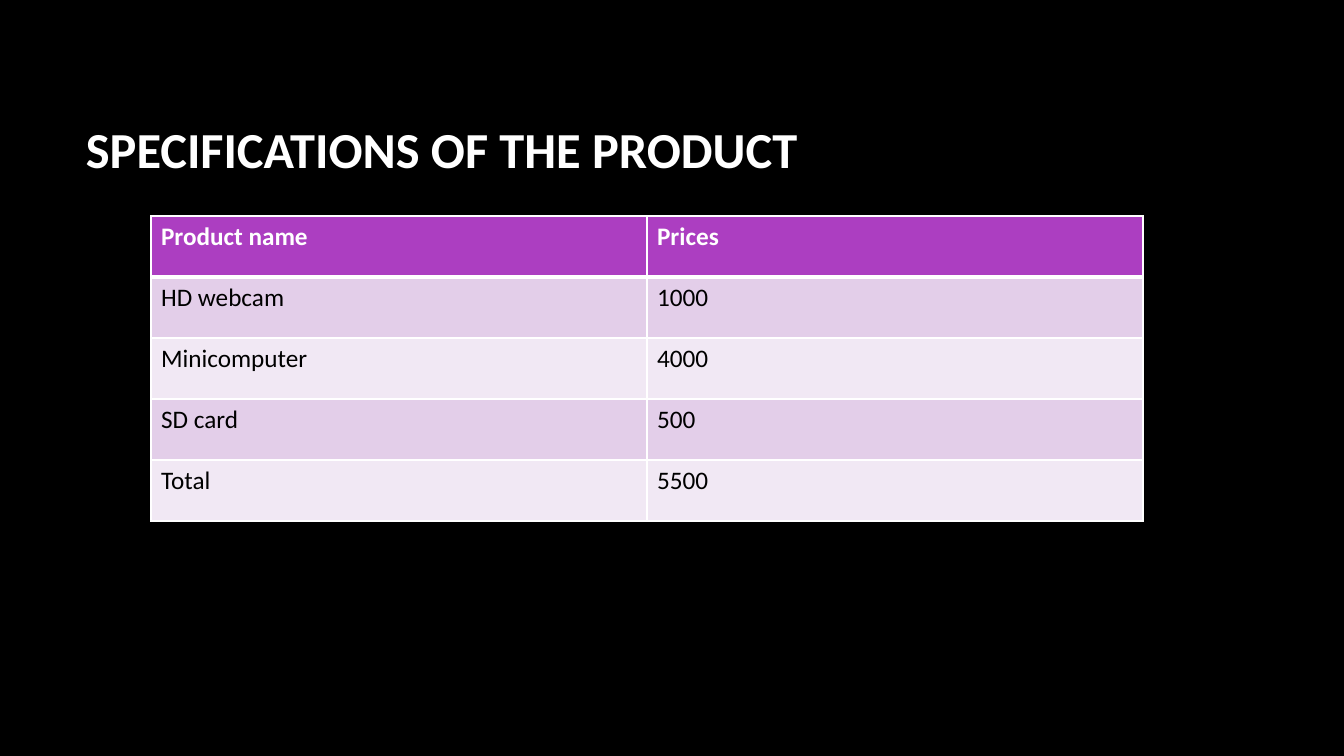
from dataclasses import dataclass

from lxml import etree
from pptx import Presentation
from pptx.dml.color import RGBColor
from pptx.enum.text import MSO_ANCHOR
from pptx.oxml.ns import qn
from pptx.util import Emu, Pt

TITLE = "SPECIFICATIONS OF THE PRODUCT"
ROWS = [
    ("Product name", "Prices"),
    ("HD webcam", "1000"),
    ("Minicomputer", "4000"),
    ("SD card", "500"),
    ("Total", "5500"),
]

SIZE = (1344, 756)
TITLE_BOX = (76, 68, 1117, 160)
TABLE_AT = (151, 216)
COL_W, ROW_H = 496, 61

MIDDLE = MSO_ANCHOR.MIDDLE


@dataclass(frozen=True)
class Theme:
    font: str = "Calibri"
    back: str = "000000"
    light: str = "FFFFFF"
    dark: str = "000000"
    head: str = "AC3EC1"
    bands: tuple = ("E3CEE9", "F1E8F4")
    title_pt: int = 36
    cell_pt: int = 18
    rule_pt: int = 1
    head_pt: int = 3


THEME = Theme()


def px(n):
    return Emu(round(n * 914400 / 100.8))


def paint(fill, color):
    fill.solid()
    fill.fore_color.rgb = RGBColor.from_string(color)


def add_run(frame, text, size, color, bold):
    run = frame.paragraphs[0].add_run()
    run.text = text
    font = run.font
    font.name, font.size, font.bold = THEME.font, Pt(size), bold
    font.color.rgb = RGBColor.from_string(color)


def add_rules(cell, top, bottom):
    """Set the four borders; they must come before the cell's fill."""
    props = cell._tc.get_or_add_tcPr()
    widths = {"L": THEME.rule_pt, "R": THEME.rule_pt, "T": top, "B": bottom}
    for side, width in widths.items():
        line = etree.SubElement(props, qn(f"a:ln{side}"), w=str(Pt(width)))
        solid = etree.SubElement(line, qn("a:solidFill"))
        etree.SubElement(solid, qn("a:srgbClr"), val=THEME.light)


def add_title(slide):
    frame = slide.shapes.add_textbox(*map(px, TITLE_BOX)).text_frame
    frame.word_wrap = True
    frame.vertical_anchor = MIDDLE
    add_run(frame, TITLE, THEME.title_pt, THEME.light, True)


def add_prices(slide):
    count, wide = len(ROWS), len(ROWS[0])
    box = (*TABLE_AT, wide * COL_W, count * ROW_H)
    table = slide.shapes.add_table(count, wide, *map(px, box)).table
    for col in table.columns:
        col.width = px(COL_W)
    for r, row in enumerate(ROWS):
        table.rows[r].height = px(ROW_H)
        is_head = r == 0
        fill = THEME.head if is_head else THEME.bands[(r - 1) % 2]
        ink = THEME.light if is_head else THEME.dark
        top = THEME.head_pt if r == 1 else THEME.rule_pt
        bottom = THEME.head_pt if is_head else THEME.rule_pt
        for c, text in enumerate(row):
            cell = table.cell(r, c)
            add_rules(cell, top, bottom)
            paint(cell.fill, fill)
            add_run(cell.text_frame, text, THEME.cell_pt, ink, is_head)


def main():
    deck = Presentation()
    deck.slide_width, deck.slide_height = map(px, SIZE)
    slide = deck.slides.add_slide(deck.slide_layouts[6])
    paint(slide.background.fill, THEME.back)
    add_title(slide)
    add_prices(slide)
    deck.save("out.pptx")


if __name__ == "__main__":
    main()
